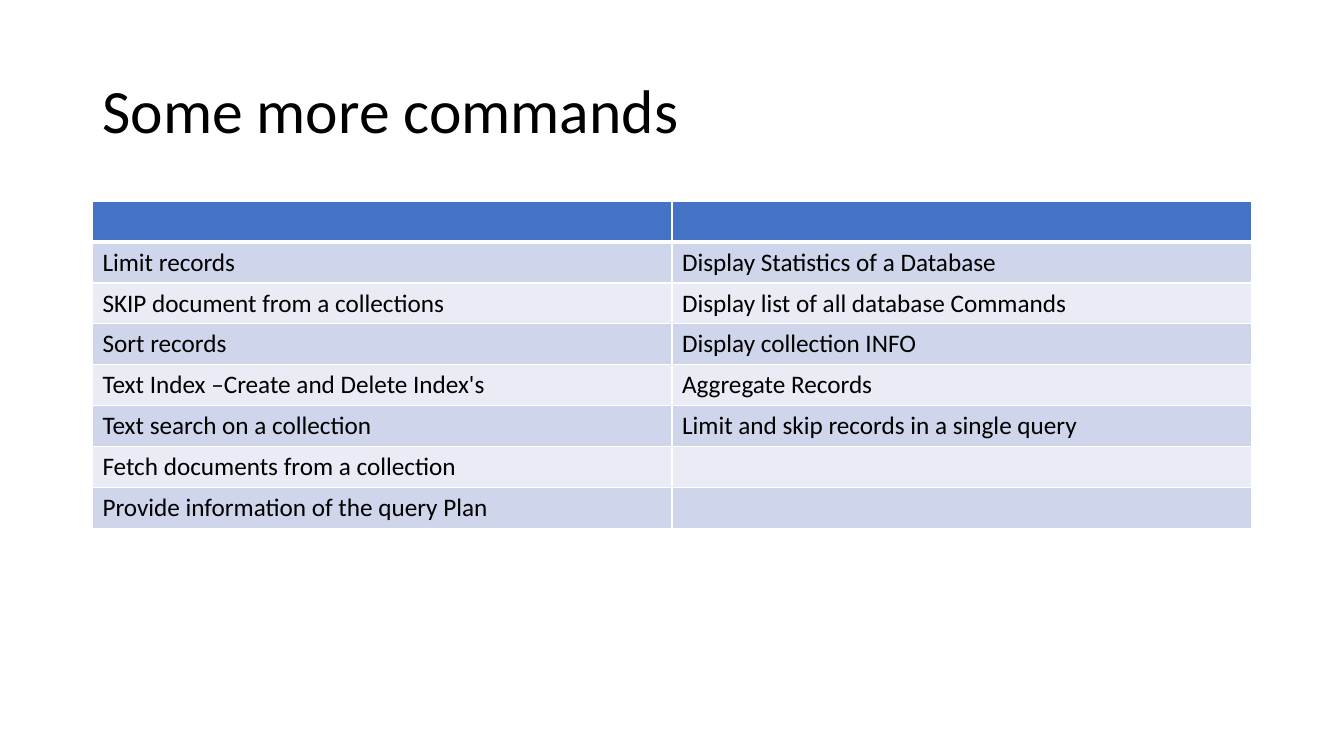
import pptx
import pptx.util
import pptx.dml.color
import pptx.enum.text
import pptx.oxml
import pptx.oxml.ns
from lxml import etree

Cm, Pt = pptx.util.Cm, pptx.util.Pt
title = "Some more commands"
rows = [
    ("", ""),
    ("Limit records", "Display Statistics of a Database"),
    ("SKIP document from a collections", "Display list of all database Commands"),
    ("Sort records", "Display collection INFO"),
    ("Text Index –Create and Delete Index's", "Aggregate Records"),
    ("Text search on a collection", "Limit and skip records in a single query"),
    ("Fetch documents from a collection", ""),
    ("Provide information of the query Plan", ""),
]
colors = {"head": "4472C4", "odd": "CFD5EA", "even": "E9EBF5",
          "text": "000000", "line": "FFFFFF"}
left, width, high = 2.33, 29.21, 1.03


def rgb(name):
    return pptx.dml.color.RGBColor.from_string(colors[name])


def style(para, size):
    para.font.name = "Calibri"
    para.font.size = Pt(size)
    para.font.bold = False
    para.font.color.rgb = rgb("text")


def border(cell, side, size):
    props = cell._tc.get_or_add_tcPr()
    line = etree.SubElement(props, pptx.oxml.ns.qn("a:ln" + side), w=str(Pt(size)))
    fill = etree.SubElement(line, pptx.oxml.ns.qn("a:solidFill"))
    etree.SubElement(fill, pptx.oxml.ns.qn("a:srgbClr"), val=colors["line"])


deck = pptx.Presentation()
deck.slide_width, deck.slide_height = Cm(33.87), Cm(19.05)
slide = deck.slides.add_slide(deck.slide_layouts[6])

box = slide.shapes.add_textbox(Cm(left), Cm(1.01), Cm(width), Cm(3.68))
frame = box.text_frame
frame.word_wrap = True
frame.vertical_anchor = pptx.enum.text.MSO_ANCHOR.MIDDLE
frame.text = title
frame.paragraphs[0].line_spacing = 0.9
style(frame.paragraphs[0], 44)

table = slide.shapes.add_table(len(rows), 2, Cm(left), Cm(5.07),
                               Cm(width), Cm(high * len(rows))).table
for r, row in enumerate(rows):
    table.rows[r].height = Cm(high)
    tone = "head" if r == 0 else "odd" if r % 2 else "even"
    for c, text in enumerate(row):
        cell = table.cell(r, c)
        cell.text = text
        style(cell.text_frame.paragraphs[0], 18)
        for side in "LRTB":
            thick = (r, side) in ((0, "B"), (1, "T"))
            border(cell, side, 3 if thick else 1)
        cell.fill.solid()
        cell.fill.fore_color.rgb = rgb(tone)

deck.save("out.pptx")
